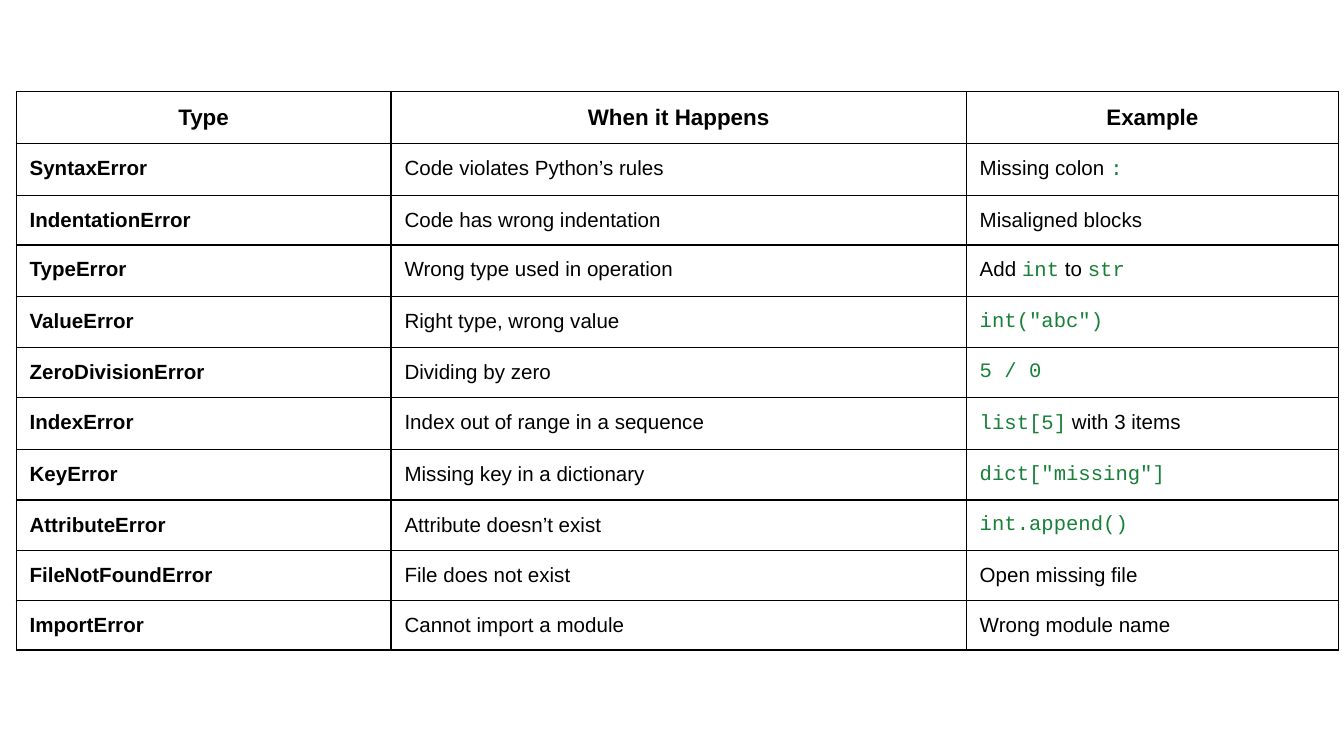
from lxml import etree
from pptx import Presentation
from pptx import util as u
from pptx.dml.color import RGBColor
from pptx.enum import text
from pptx.oxml.ns import qn

COLORS = {"ink": "000000", "code": "188038"}
FONTS = {"ink": "Arial", "code": "Courier New"}
SLIDE_WIDTH = 10
SLIDE_HEIGHT = SLIDE_WIDTH * 9 / 16
COLUMNS = (2.79, 4.28, 2.77)
ROW_HEIGHT = 0.36
MARGIN = 0.1
CODE_MARK = "`"

HEADER = ("Type", "When it Happens", "Example")
ERRORS = [
    ("SyntaxError", "Code violates Python’s rules", "Missing colon `:`"),
    ("IndentationError", "Code has wrong indentation", "Misaligned blocks"),
    ("TypeError", "Wrong type used in operation", "Add `int` to `str`"),
    ("ValueError", "Right type, wrong value", '`int("abc")`'),
    ("ZeroDivisionError", "Dividing by zero", "`5 / 0`"),
    ("IndexError", "Index out of range in a sequence", "`list[5]` with 3 items"),
    ("KeyError", "Missing key in a dictionary", '`dict["missing"]`'),
    ("AttributeError", "Attribute doesn’t exist", "`int.append()`"),
    ("FileNotFoundError", "File does not exist", "Open missing file"),
    ("ImportError", "Cannot import a module", "Wrong module name"),
]


def add_span(para, wording, kind, size, bold):
    span = para.add_run()
    span.text = wording
    span.font.name = FONTS[kind]
    span.font.size = u.Pt(size)
    span.font.bold = bold
    span.font.color.rgb = RGBColor.from_string(COLORS[kind])


def draw_borders(cell):
    properties = cell._tc.get_or_add_tcPr()
    for index, side in enumerate(("lnL", "lnR", "lnT", "lnB")):
        line = etree.Element(qn(f"a:{side}"), w=str(u.Pt(0.75)))
        fill = etree.SubElement(line, qn("a:solidFill"))
        etree.SubElement(fill, qn("a:srgbClr"), val=COLORS["ink"])
        properties.insert(index, line)


def fill_cell(cell, wording, size, bold, align):
    cell.fill.background()
    cell.margin_left = cell.margin_right = u.Inches(MARGIN)
    cell.margin_top = cell.margin_bottom = u.Inches(MARGIN)
    draw_borders(cell)
    para = cell.text_frame.paragraphs[0]
    para.alignment = align
    for index, part in enumerate(wording.split(CODE_MARK)):
        if part:
            add_span(para, part, "code" if index % 2 else "ink", size, bold)


def add_error_table(page, left, top):
    rows = [HEADER, *ERRORS]
    frame = page.shapes.add_table(
        len(rows), len(COLUMNS), u.Inches(left), u.Inches(top),
        u.Inches(sum(COLUMNS)), u.Inches(ROW_HEIGHT * len(rows)))
    table = frame.table
    table.first_row = table.horz_banding = False
    for column, width in zip(table.columns, COLUMNS):
        column.width = u.Inches(width)
    for row_index, row in enumerate(rows):
        table.rows[row_index].height = u.Inches(ROW_HEIGHT)
        is_header = row_index == 0
        align = text.PP_ALIGN.CENTER if is_header else text.PP_ALIGN.LEFT
        for column_index, wording in enumerate(row):
            fill_cell(table.cell(row_index, column_index), wording,
                      12 if is_header else 11,
                      is_header or column_index == 0, align)


def main():
    deck = Presentation()
    deck.slide_width = u.Inches(SLIDE_WIDTH)
    deck.slide_height = u.Inches(SLIDE_HEIGHT)
    page = deck.slides.add_slide(deck.slide_layouts[6])
    add_error_table(page, 0.12, 0.68)
    deck.save("out.pptx")


if __name__ == "__main__":
    main()
